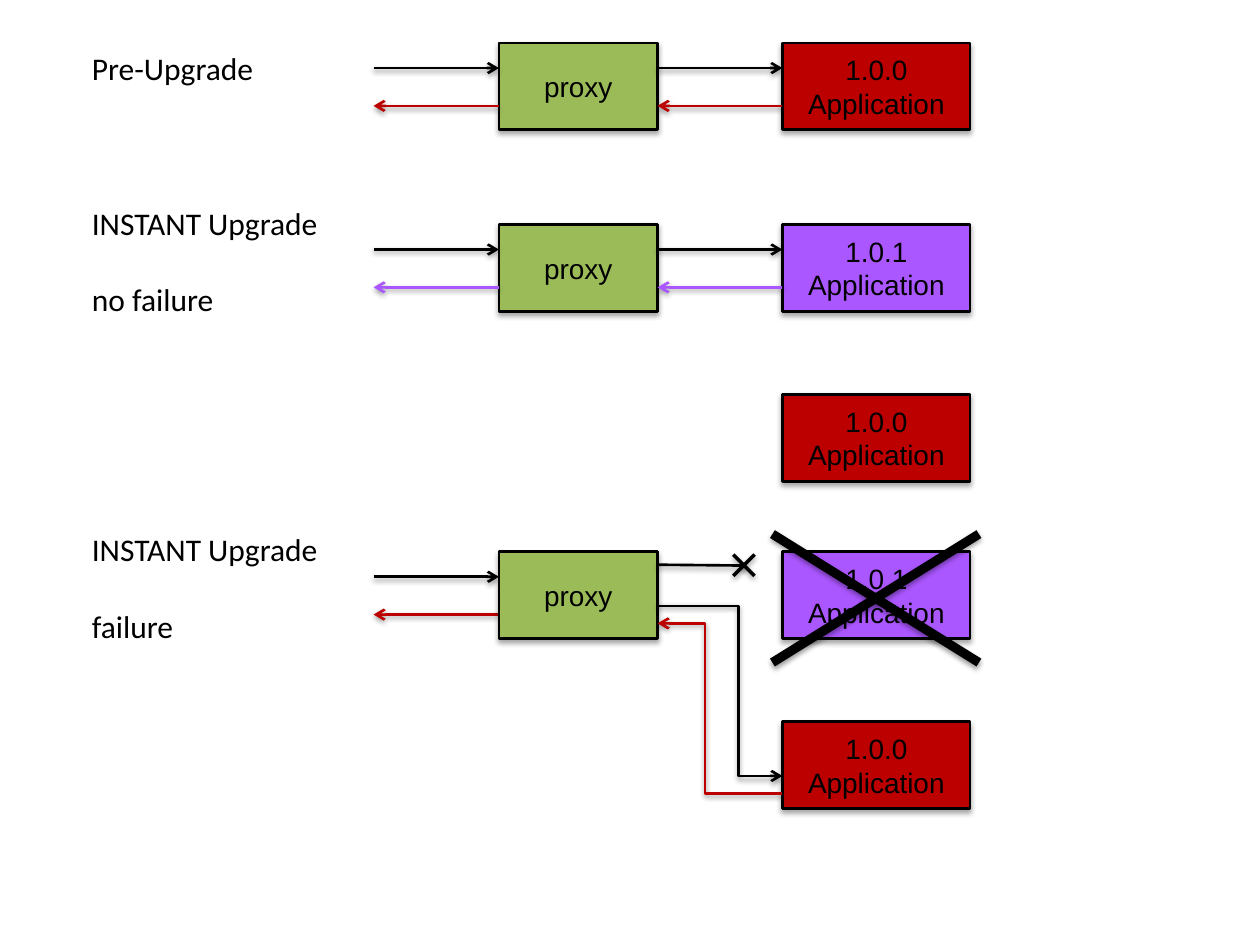
import pptx
import pptx.util
import pptx.dml.color
import pptx.enum.shapes
import pptx.enum.text
import pptx.oxml
import pptx.oxml.ns

Pt = pptx.util.Pt
BLACK = pptx.dml.color.RGBColor(0x00, 0x00, 0x00)
GREEN = pptx.dml.color.RGBColor(0x9B, 0xBB, 0x59)
RED = pptx.dml.color.RGBColor(0xBC, 0x00, 0x00)
PURPLE = pptx.dml.color.RGBColor(0xAB, 0x57, 0xFF)

LABEL_LEFT, LABEL_WIDTH = 45.4, 157
CLIENT_LEFT = 213.5
PROXY_LEFT, PROXY_WIDTH = 285.1, 90.7
PROXY_RIGHT = PROXY_LEFT + PROXY_WIDTH
APP_LEFT, APP_WIDTH = 447.1, 107.3
BOX_HEIGHT = 49.7
APP_STEP = 97.2
REQUEST_OFFSET, RESPONSE_OFFSET = 14.4, 36

LABEL_FONT = {"name": "Calibri", "size": Pt(18)}
BOX_FONT = {"name": "Arial", "size": Pt(16)}


def format_font(paragraph, values):
    for name, value in values.items():
        setattr(paragraph.font, name, value)
    paragraph.font.color.rgb = BLACK


def add_shadow(effects, opacity, distance):
    effects.append(pptx.oxml.parse_xml(
        f'<a:outerShdw {pptx.oxml.ns.nsdecls("a")} blurRad="{Pt(3.1)}" '
        f'dist="{Pt(distance)}" dir="5400000" rotWithShape="0">'
        f'<a:srgbClr val="000000"><a:alpha val="{opacity * 1000}"/></a:srgbClr>'
        '</a:outerShdw>'))


def add_label(slide, top, lines):
    height = 29 if len(lines) == 1 else 73
    shape = slide.shapes.add_textbox(Pt(LABEL_LEFT), Pt(top), Pt(LABEL_WIDTH), Pt(height))
    frame = shape.text_frame
    frame.word_wrap = True
    frame.auto_size = pptx.enum.text.MSO_AUTO_SIZE.SHAPE_TO_FIT_TEXT
    for index, line in enumerate(lines):
        paragraph = frame.add_paragraph() if index else frame.paragraphs[0]
        paragraph.text = line
        if index:
            paragraph.space_before = Pt(22)
        format_font(paragraph, LABEL_FONT)


def add_box(slide, left, top, width, text, color):
    shape = slide.shapes.add_shape(
        pptx.enum.shapes.MSO_SHAPE.RECTANGLE, Pt(left), Pt(top), Pt(width), Pt(BOX_HEIGHT))
    shape.fill.solid()
    shape.fill.fore_color.rgb = color
    shape.line.color.rgb = BLACK
    shape.line.width = Pt(1.5)
    shape.shadow.inherit = False
    add_shadow(shape._element.spPr.find(pptx.oxml.ns.qn("a:effectLst")), 35, 1.8)
    frame = shape.text_frame
    frame.word_wrap = True
    frame.vertical_anchor = pptx.enum.text.MSO_ANCHOR.MIDDLE
    paragraph = frame.paragraphs[0]
    paragraph.text = text
    paragraph.alignment = pptx.enum.text.PP_ALIGN.CENTER
    format_font(paragraph, BOX_FONT)


def add_proxy(slide, top):
    add_box(slide, PROXY_LEFT, top, PROXY_WIDTH, "proxy", GREEN)


def add_application(slide, top, version, color):
    add_box(slide, APP_LEFT, top, APP_WIDTH, f"{version} Application", color)


def add_line(slide, start, end, color=BLACK, width=1.5, arrow=None, bend=None):
    kinds = pptx.enum.shapes.MSO_CONNECTOR
    kind = kinds.STRAIGHT if bend is None else kinds.ELBOW
    connector = slide.shapes.add_connector(kind, *(Pt(value) for value in (*start, *end)))
    connector.line.color.rgb = color
    connector.line.width = Pt(width)
    namespace = pptx.oxml.ns.nsdecls("a")
    if arrow:
        connector.line._get_or_add_ln().append(
            pptx.oxml.parse_xml(f'<a:{arrow} {namespace} type="arrow"/>'))
    properties = connector._element.spPr
    if bend is not None:
        guides = properties.prstGeom.get_or_add_avLst()
        guides.append(pptx.oxml.parse_xml(
            f'<a:gd {namespace} name="adj1" fmla="val {round(bend * 100000)}"/>'))
    effects = pptx.oxml.parse_xml(f"<a:effectLst {namespace}/>")
    add_shadow(effects, 38, 1.6)
    properties.append(effects)


def add_exchange(slide, left, right, top, color):
    request, response = top + REQUEST_OFFSET, top + RESPONSE_OFFSET
    add_line(slide, (left, request), (right, request), arrow="tailEnd")
    add_line(slide, (left, response), (right, response), color, arrow="headEnd")


def add_cross(slide, left, top, width, height, weight):
    right, bottom = left + width, top + height
    add_line(slide, (right, top), (left, bottom), width=weight)
    add_line(slide, (right, bottom), (left, top), width=weight)


def add_working_row(slide, top, version, color):
    add_proxy(slide, top)
    add_application(slide, top, version, color)
    add_exchange(slide, PROXY_RIGHT, APP_LEFT, top, color)
    add_exchange(slide, CLIENT_LEFT, PROXY_LEFT, top, color)


def add_failure_row(slide, top):
    add_application(slide, top + APP_STEP, "1.0.0", RED)
    add_application(slide, top, "1.0.1", PURPLE)
    add_exchange(slide, CLIENT_LEFT, PROXY_LEFT, top, RED)
    add_proxy(slide, top)
    for offset, color, arrow, bend in ((31, BLACK, "tailEnd", 0.65),
                                       (41, RED, "headEnd", 0.38)):
        add_line(slide, (PROXY_RIGHT, top + offset), (APP_LEFT, top + offset + APP_STEP),
                 color, arrow=arrow, bend=bend)
    add_line(slide, (PROXY_RIGHT, top + 7.5), (426, top + 8))
    add_cross(slide, 419, top + 1.7, 12.2, 12.2, 2)
    add_cross(slide, 441.4, top - 10, 118, 73.4, 5.25)


def main():
    presentation = pptx.Presentation()
    presentation.slide_width, presentation.slide_height = Pt(720), Pt(540)
    slide = presentation.slides.add_slide(presentation.slide_layouts[6])

    add_label(slide, 24.5, ["Pre-Upgrade"])
    add_working_row(slide, 24.5, "1.0.0", RED)

    add_label(slide, 113, ["INSTANT Upgrade", "no failure"])
    add_working_row(slide, 128.2, "1.0.1", PURPLE)
    add_application(slide, 128.2 + APP_STEP, "1.0.0", RED)

    add_label(slide, 299.5, ["INSTANT Upgrade", "failure"])
    add_failure_row(slide, 315.2)

    presentation.save("out.pptx")


if __name__ == "__main__":
    main()
